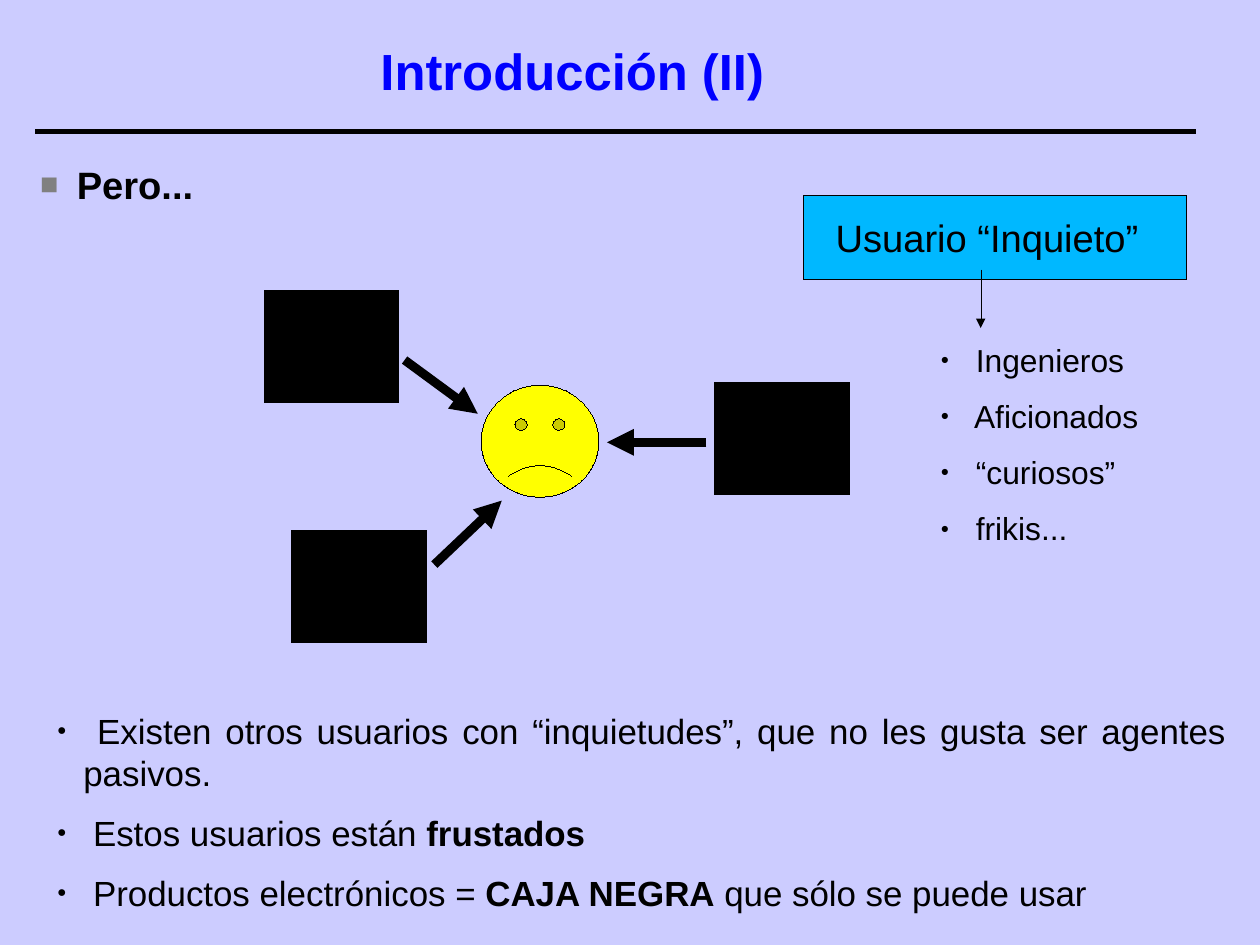
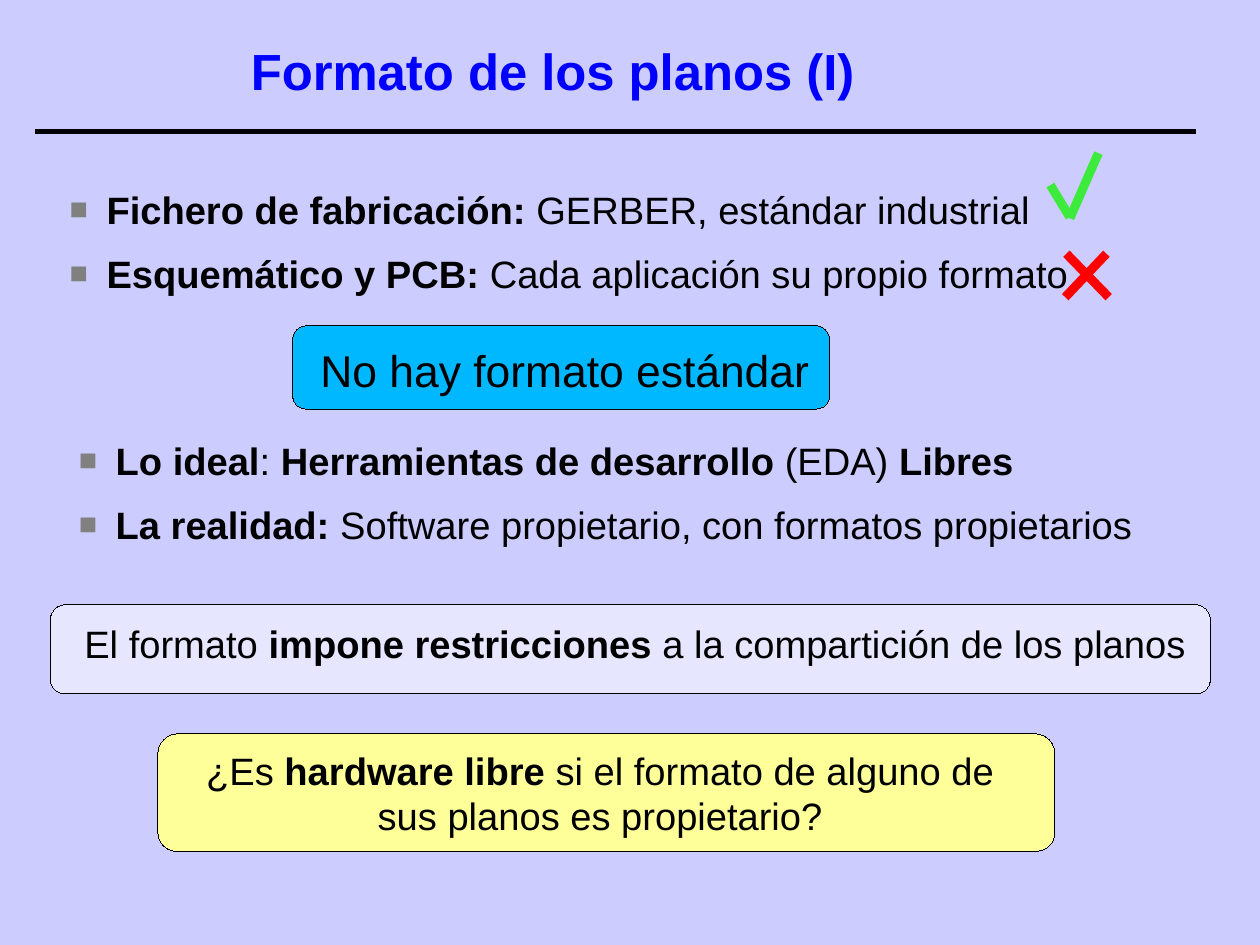
from lxml import etree
from pptx import Presentation
from pptx.dml.color import RGBColor
from pptx.enum.shapes import MSO_CONNECTOR, MSO_SHAPE as SHAPE
from pptx.enum.text import MSO_ANCHOR, PP_ALIGN as ALIGN
from pptx.oxml.ns import qn
from pptx.util import Inches, Pt

LAVENDER = RGBColor(0xCC, 0xCC, 0xFF)
BLUE = RGBColor(0x00, 0x00, 0xFF)
BLACK = RGBColor(0x00, 0x00, 0x00)
CYAN = RGBColor(0x00, 0xB8, 0xFF)
YELLOW = RGBColor(0xFF, 0xFF, 0x00)
PALE_YELLOW = RGBColor(0xFF, 0xFF, 0x99)
PALE_BLUE = RGBColor(0xE6, 0xE6, 0xFF)
GREEN = RGBColor(0x3D, 0xEB, 0x3D)
RED = RGBColor(0xFF, 0x00, 0x00)
FONT = "Arial"
BULLET_FONT = "Times New Roman"
SQUARE = ("■", "808080", 80)
DOT = ("●", "000000", 45)
BULLET_INDENT = Inches(0.23)
HAIRLINE = 0.01


def write(tf, lines, size, align=ALIGN.LEFT, color=BLACK, bullet=None, insets=(0, 0, 0, 0)):
    tf.word_wrap = True
    tf.margin_left, tf.margin_top, tf.margin_right, tf.margin_bottom = [
        Inches(v) for v in insets]
    for i, line in enumerate(lines):
        p = tf.add_paragraph() if i else tf.paragraphs[0]
        p.alignment = align
        if bullet:
            char, hue, percent = bullet
            pPr = p._p.get_or_add_pPr()
            pPr.set("marL", str(BULLET_INDENT))
            pPr.set("indent", str(-BULLET_INDENT))
            clr = etree.SubElement(pPr, qn("a:buClr"))
            etree.SubElement(clr, qn("a:srgbClr"), val=hue)
            etree.SubElement(pPr, qn("a:buSzPct"), val=str(percent * 1000))
            etree.SubElement(pPr, qn("a:buFont"), typeface=BULLET_FONT)
            etree.SubElement(pPr, qn("a:buChar"), char=char)
            p.space_after = Pt(5.7)
            if i:
                p.space_before = Pt(5.7)
        for j, part in enumerate(line.split("*")):
            if part:
                r = p.add_run()
                r.text = part
                r.font.name = FONT
                r.font.size = Pt(size)
                r.font.bold = j % 2 == 1
                r.font.color.rgb = color


def add_line(s, ends, color=BLACK, width=5.67, arrow=False):
    line = s.shapes.add_connector(MSO_CONNECTOR.STRAIGHT, *[Inches(v) for v in ends])
    line.line.color.rgb = color
    line.line.width = Pt(width)
    if arrow:
        etree.SubElement(line.line._get_or_add_ln(), qn("a:tailEnd"), type="triangle")
    etree.SubElement(line._element.spPr, qn("a:effectLst"))


prs = Presentation()
prs.slide_width, prs.slide_height = Inches(28 / 2.54), Inches(21 / 2.54)
prs.slide_master.background.fill.solid()
prs.slide_master.background.fill.fore_color.rgb = LAVENDER

for title, left in [("Introducción (II)", 0.76), ("Formato de los planos (I)", 0.59)]:
    s = prs.slides.add_slide(prs.slide_layouts[6])
    tb = s.shapes.add_textbox(Inches(left), 0, Inches(8.5), Inches(1.18))
    write(tb.text_frame, [f"*{title}*"], 32, ALIGN.CENTER, BLUE)
    tb.text_frame.vertical_anchor = MSO_ANCHOR.MIDDLE
    tb.text_frame.paragraphs[0].line_spacing = Pt(42)
    add_line(s, (0.31, 1.15, 10.46, 1.15), width=2.83)

intro, formats = prs.slides

bullet_lists = [
    (intro, (0.35, 1.41, 3.22, 0.68), SQUARE, 24, ALIGN.LEFT, ["* Pero...*"]),
    (intro, (0.5, 6.21, 10.23, 1.72), DOT, 22, ALIGN.JUSTIFY, [
        " Existen otros usuarios con “inquietudes”, que no les gusta ser agentes pasivos.",
        " Estos usuarios están *frustados*",
        " Productos electrónicos = *CAJA NEGRA* que sólo se puede usar"]),
    (intro, (8.23, 2.98, 1.89, 1.71), DOT, 20, ALIGN.JUSTIFY, [
        " Ingenieros", " Aficionados", " “curiosos”", " frikis..."]),
    (formats, (0.61, 1.63, 10.15, 0.92), SQUARE, 24, ALIGN.LEFT, [
        "* Fichero de fabricación: *GERBER, estándar industrial",
        "* Esquemático y PCB: *Cada aplicación su propio formato"]),
    (formats, (0.69, 3.83, 9.82, 0.92), SQUARE, 24, ALIGN.LEFT, [
        "* Lo ideal*: *Herramientas de desarrollo *(EDA) *Libres*",
        "* La realidad: *Software propietario, con formatos propietarios"]),
]
for s, box, bullet, size, align, lines in bullet_lists:
    tb = s.shapes.add_textbox(*[Inches(v) for v in box])
    write(tb.text_frame, lines, size, align, bullet=bullet)

black_boxes = [(intro, SHAPE.RECTANGLE, (left, top, 1.18, 0.98), BLACK, 24, None, "")
               for left, top in [(2.31, 2.54), (2.55, 4.64), (6.25, 3.35)]]
figures = black_boxes + [
    (intro, SHAPE.SMILEY_FACE, (4.21, 3.37, 1.03, 0.98), YELLOW, 24, None, ""),
    (intro, SHAPE.RECTANGLE, (7.03, 1.71, 3.35, 0.74), CYAN, 24, (0, 0, 0.14, 0),
     "Usuario “Inquieto”"),
    (formats, SHAPE.ROUNDED_RECTANGLE, (2.56, 2.85, 4.7, 0.73), CYAN, 28, (0.06, 0.04, 0, 0),
     "No hay formato estándar"),
    (formats, SHAPE.ROUNDED_RECTANGLE, (0.44, 5.29, 10.15, 0.78), PALE_BLUE, 24,
     (0.2, 0, 0.12, 0.1),
     "El formato *impone restricciones* a la compartición de los planos"),
    (formats, SHAPE.ROUNDED_RECTANGLE, (1.38, 6.42, 7.85, 1.03), PALE_YELLOW, 24,
     (0.24, 0, 0.35, 0),
     "¿Es *hardware libre* si el formato de alguno de sus planos es propietario?"),
]
for s, kind, box, fill, size, insets, text in figures:
    sp = s.shapes.add_shape(kind, *[Inches(v) for v in box])
    sp.shadow.inherit = False
    sp.fill.solid()
    sp.fill.fore_color.rgb = fill
    sp.line.color.rgb = BLACK
    sp.line.width = Pt(HAIRLINE)
    if kind == SHAPE.SMILEY_FACE:
        sp.adjustments[0] = -0.05
    if text:
        write(sp.text_frame, [text], size, ALIGN.CENTER, insets=insets)
        sp.text_frame.vertical_anchor = MSO_ANCHOR.MIDDLE

for ends in [(3.8, 4.94, 4.39, 4.38), (6.18, 3.87, 5.31, 3.87), (3.54, 3.15, 4.18, 3.62)]:
    add_line(intro, ends, arrow=True)
add_line(intro, (8.58, 2.36, 8.58, 2.87), width=HAIRLINE, arrow=True)

for ends in [(9.19, 1.62, 9.36, 1.9), (9.36, 1.91, 9.61, 1.34)]:
    add_line(formats, ends, GREEN)
for ends in [(9.33, 2.22, 9.7, 2.6), (9.68, 2.22, 9.32, 2.6)]:
    add_line(formats, ends, RED)

prs.save("out.pptx")
